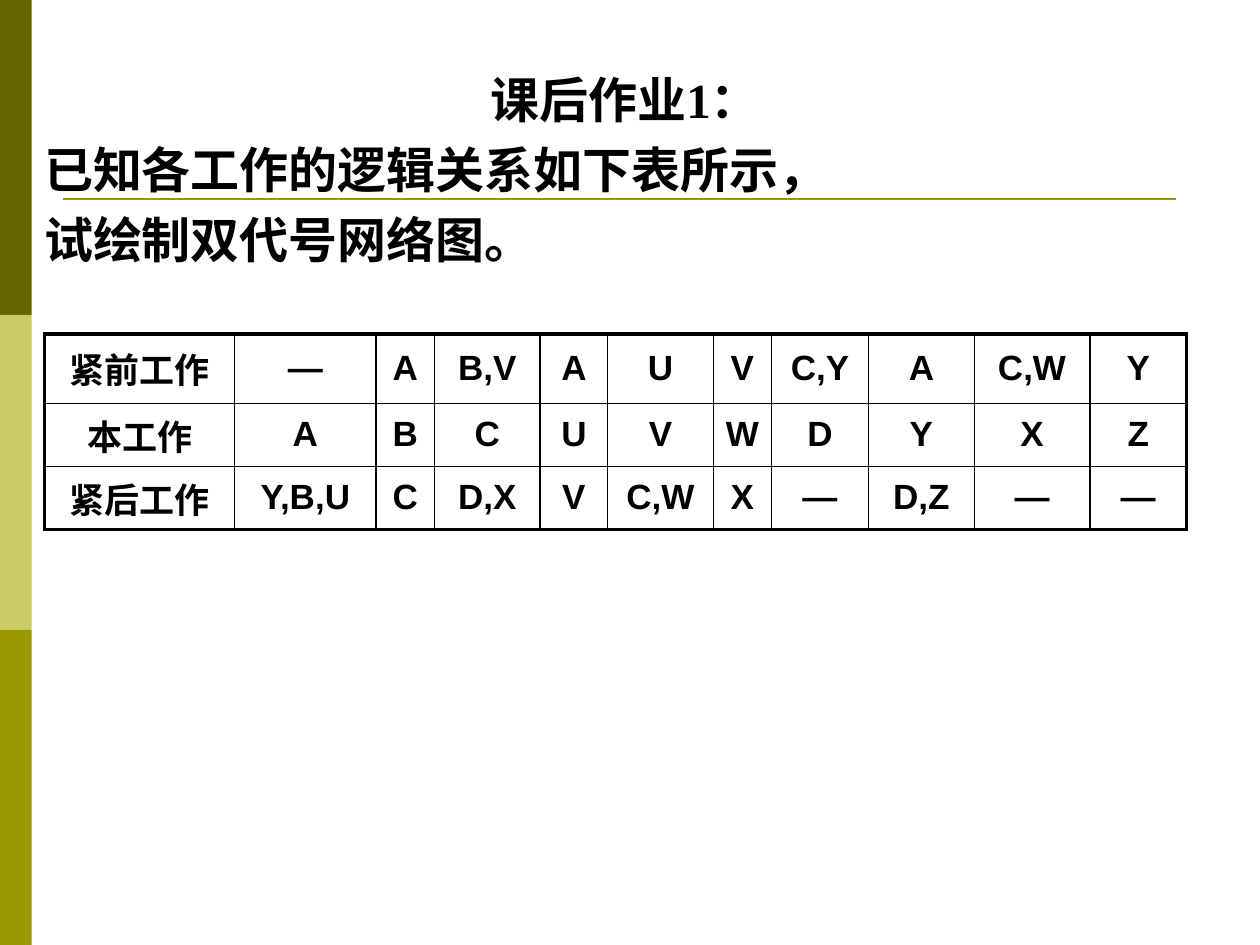
from dataclasses import dataclass

from lxml.etree import SubElement
from pptx import Presentation
from pptx.dml.color import RGBColor as RGB
from pptx.enum.shapes import MSO_CONNECTOR as CONN, MSO_SHAPE as SHAPE
from pptx.enum.text import MSO_ANCHOR as ANCHOR, PP_ALIGN as ALIGN
from pptx.oxml import parse_xml
from pptx.oxml.ns import nsdecls, qn
from pptx.util import Cm, Pt


@dataclass(frozen=True)
class Theme:
    olive_dark: str = "666600"
    olive_light: str = "CCCC66"
    olive: str = "999900"
    ink: str = "000000"
    title_font: str = "Times New Roman"
    table_font: str = "Arial"
    title_size: float = 28
    table_size: float = 20
    title_gap: float = 6.4
    rule: float = 1.5
    outer: float = 2.25
    inner: float = 1


class SlideBuilder:
    def __init__(self, slide, theme):
        self.s = slide
        self.t = theme

    def bar(self, x, y, w, h, color):
        sp = self.s.shapes.add_shape(SHAPE.RECTANGLE, Cm(x), Cm(y), Cm(w), Cm(h))
        sp.shadow.inherit = False
        sp.fill.solid()
        sp.fill.fore_color.rgb = RGB.from_string(color)
        sp.line.fill.background()

    def rule(self, x1, x2, y):
        ln = self.s.shapes.add_connector(CONN.STRAIGHT, Cm(x1), Cm(y), Cm(x2), Cm(y))
        ln.line.color.rgb = RGB.from_string(self.t.olive)
        ln.line.width = Pt(self.t.rule)
        SubElement(ln._element.spPr, qn("a:effectLst"))

    def style(self, p, font, size, align):
        p.alignment = align
        for r in p.runs:
            r.font.name = font
            r.font.size = Pt(size)
            r.font.bold = True
            r.font.color.rgb = RGB.from_string(self.t.ink)

    def heading(self, x, y, w, h, lines):
        tf = self.s.shapes.add_textbox(Cm(x), Cm(y), Cm(w), Cm(h)).text_frame
        tf.word_wrap = True
        tf.text = "\n".join(lines)
        for i, p in enumerate(tf.paragraphs):
            pPr = p._p.get_or_add_pPr()
            pPr.set("marL", str(Cm(0.95)))
            pPr.set("indent", str(-Cm(0.95)))
            if i:
                p.space_before = Pt(self.t.title_gap)
            self.style(p, self.t.title_font, self.t.title_size,
                       ALIGN.JUSTIFY if i else ALIGN.CENTER)

    def borders(self, cell, edges):
        tcPr = cell._tc.get_or_add_tcPr()
        for i, (side, at_edge) in enumerate(edges.items()):
            width = Pt(self.t.outer if at_edge else self.t.inner)
            tcPr.insert(i, parse_xml(
                f'<a:ln{side} {nsdecls("a")} w="{width}"><a:solidFill>'
                f'<a:srgbClr val="{self.t.ink}"/></a:solidFill></a:ln{side}>'))

    def table(self, x, y, widths, heights, rows):
        tbl = self.s.shapes.add_table(len(rows), len(widths), Cm(x), Cm(y),
                                      Cm(sum(widths)), Cm(sum(heights))).table
        tbl.first_row = tbl.horz_banding = False
        for col, w in zip(tbl.columns, widths):
            col.width = Cm(w)
        for i, (row, h) in enumerate(zip(rows, heights)):
            tbl.rows[i].height = Cm(h)
            for j, text in enumerate(row):
                cell = tbl.cell(i, j)
                cell.text_frame.text = text
                cell.vertical_anchor = ANCHOR.MIDDLE
                cell.fill.background()
                self.style(cell.text_frame.paragraphs[0], self.t.table_font,
                           self.t.table_size, ALIGN.CENTER)
                self.borders(cell, {"L": j == 0, "R": j == len(widths) - 1,
                                    "T": i == 0, "B": i == len(rows) - 1})


def main():
    prs = Presentation()
    prs.slide_width, prs.slide_height = Cm(25.4), Cm(19.05)
    theme = Theme()
    b = SlideBuilder(prs.slides.add_slide(prs.slide_layouts[6]), theme)

    bar_h = 6.35
    for i, color in enumerate((theme.olive_dark, theme.olive_light, theme.olive)):
        b.bar(0, i * bar_h, 0.64, bar_h, color)
    b.rule(1.27, 23.7, 4.01)

    b.heading(0.64, 1.27, 23.93, 5.28, [
        "课后作业1：",
        "已知各工作的逻辑关系如下表所示，",
        "试绘制双代号网络图。",
    ])

    b.table(
        0.9, 6.73,
        [3.83, 2.85, 1.18, 2.13, 1.36, 2.13, 1.17, 1.96, 2.13, 2.33, 1.95],
        [1.4, 1.27, 1.27],
        [
            ["紧前工作", "—", "A", "B,V", "A", "U", "V", "C,Y", "A", "C,W", "Y"],
            ["本工作", "A", "B", "C", "U", "V", "W", "D", "Y", "X", "Z"],
            ["紧后工作", "Y,B,U", "C", "D,X", "V", "C,W", "X", "—", "D,Z", "—", "—"],
        ],
    )
    prs.save("out.pptx")


if __name__ == "__main__":
    main()
